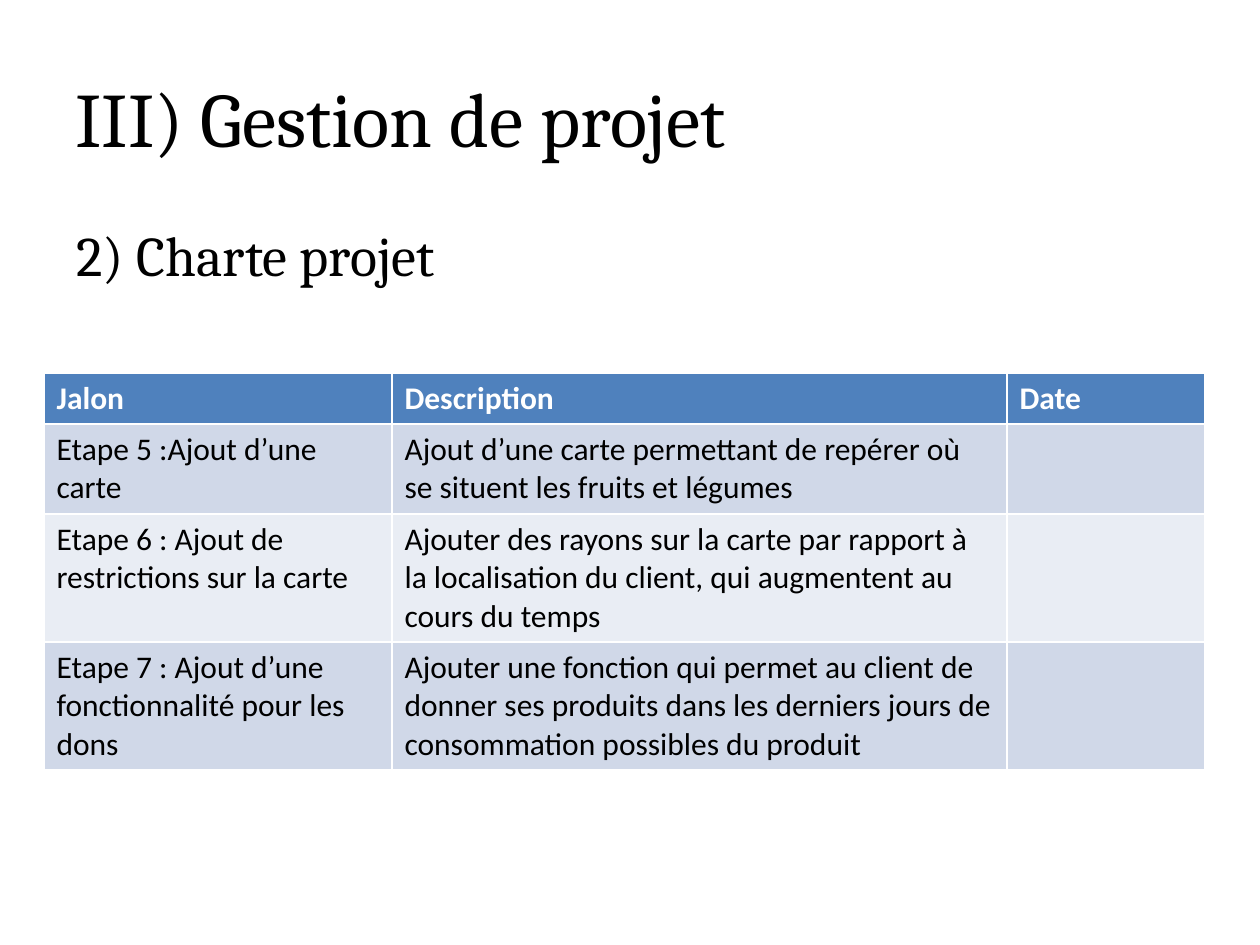
import pptx
import pptx.util
import pptx.dml.color
import pptx.enum.text

RGB = pptx.dml.color.RGBColor
BLACK = RGB(0x00, 0x00, 0x00)
WHITE = RGB(0xFF, 0xFF, 0xFF)
BLUE = RGB(0x4F, 0x81, 0xBD)
BANDS = (RGB(0xE9, 0xED, 0xF4), RGB(0xD0, 0xD8, 0xE8))
ANCHOR = pptx.enum.text.MSO_ANCHOR
SCALE = 914400 / 126


def px(value):
    return pptx.util.Emu(round(value * SCALE))


class Page:
    heading = "Cambria"
    body = "Calibri"

    def __init__(self, deck):
        self.slide = deck.slides.add_slide(deck.slide_layouts[6])

    def style(self, para, color, **look):
        for name, value in look.items():
            setattr(para.font, name, value)
        para.font.color.rgb = color

    def text(self, words, box, size, anchor):
        frame = self.slide.shapes.add_textbox(*map(px, box)).text_frame
        frame.word_wrap = True
        frame.vertical_anchor = anchor
        para = frame.paragraphs[0]
        para.text = words
        self.style(para, BLACK, name=self.heading, size=pptx.util.Pt(size))

    def table(self, data, left, top, widths, heights):
        box = (left, top, sum(widths), sum(heights))
        grid = self.slide.shapes.add_table(
            len(heights), len(widths), *map(px, box)).table
        for column, width in zip(grid.columns, widths):
            column.width = px(width)
        for index, (row, height) in enumerate(zip(grid.rows, heights)):
            row.height = px(height)
            head = index == 0
            for cell, words in zip(row.cells, data[index]):
                cell.text = words
                cell.fill.solid()
                cell.fill.fore_color.rgb = BLUE if head else BANDS[index % 2]
                self.style(cell.text_frame.paragraphs[0],
                           WHITE if head else BLACK, name=self.body,
                           size=pptx.util.Pt(18), bold=head)


deck = pptx.Presentation()
deck.slide_width = px(1260)
deck.slide_height = px(945)

page = Page(deck)
page.text("III) Gestion de projet", (63, 38, 1134, 157), 44, ANCHOR.MIDDLE)
page.text("2) Charte projet", (64, 214, 1134, 624), 32, ANCHOR.TOP)
page.table([
    ("Jalon", "Description", "Date"),
    ("Etape 5 :Ajout d’une carte",
     "Ajout d’une carte permettant de repérer où se situent les fruits "
     "et légumes", ""),
    ("Etape 6 : Ajout de restrictions sur la carte",
     "Ajouter des rayons sur la carte par rapport à la localisation du "
     "client, qui augmentent au cours du temps", ""),
    ("Etape 7 : Ajout d’une fonctionnalité pour les dons",
     "Ajouter une fonction qui permet au client de donner ses produits "
     "dans les derniers jours de consommation possibles du produit", ""),
], 44, 373, (348, 615, 198), (51, 90, 128, 128))

deck.save("out.pptx")
